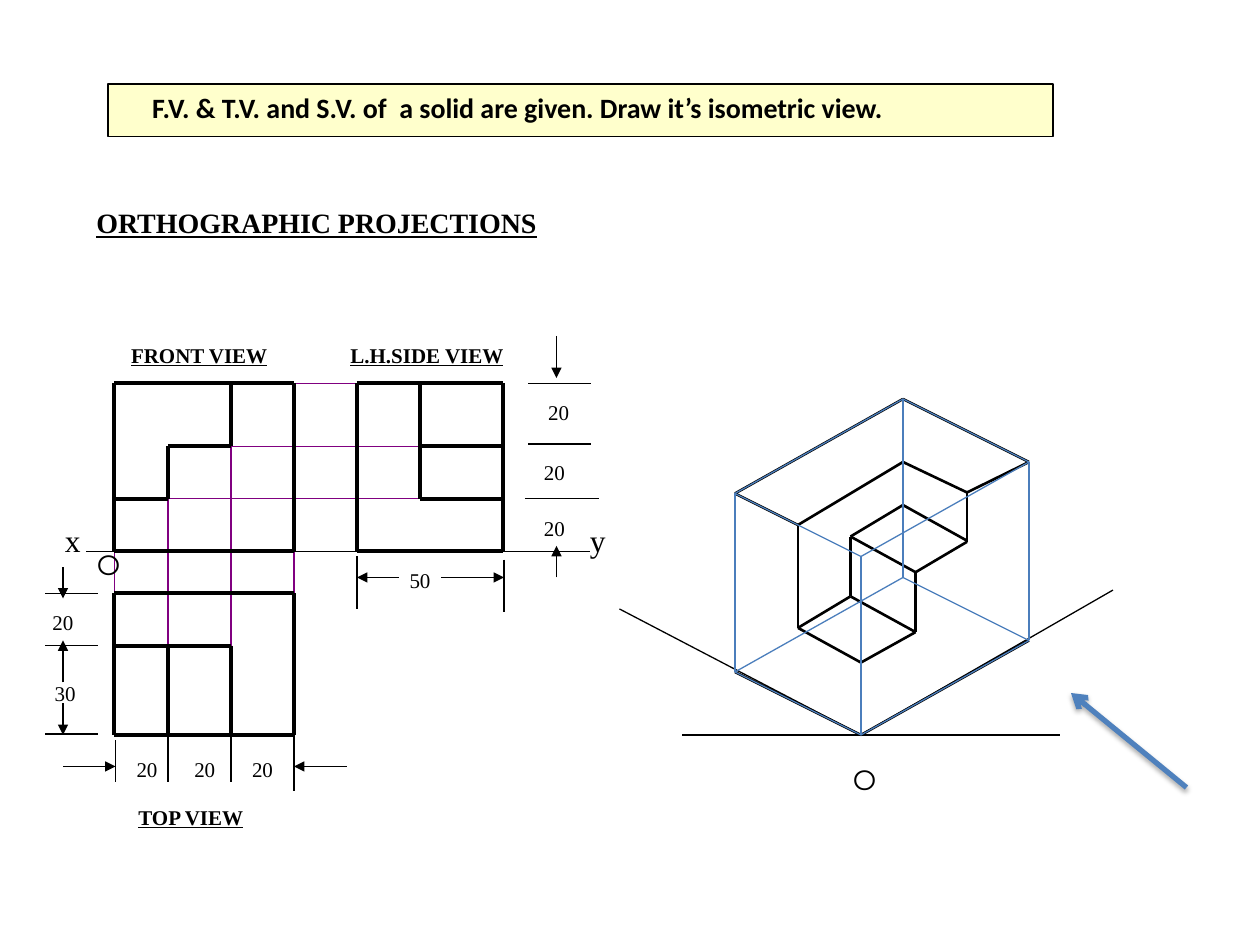
from dataclasses import dataclass
from itertools import pairwise

from lxml.etree import SubElement as sub
from pptx import Presentation
from pptx.dml.color import RGBColor as Rgb
from pptx.enum.shapes import MSO_CONNECTOR as Connector, MSO_SHAPE as Shape
from pptx.enum.text import MSO_AUTO_SIZE as AutoSize, PP_ALIGN as Align
from pptx.oxml.ns import qn
from pptx.util import Inches, Pt

COLUMNS, ROWS = 120, 90  # drawing grid over the whole slide
CELL = Inches(10) // COLUMNS


@dataclass(frozen=True)
class Theme:
    ink: str = "000000"
    projector: str = "800080"
    guide: str = "4B7EBC"
    pointer: str = "4F81BD"
    banner: str = "FFFFCC"
    thin: float = 0.75
    solid: float = 1.5
    thick: float = 2.25
    heavy: float = 3
    serif: str = "Times New Roman"
    sans: str = "Calibri"
    origin: str = "Montserrat"
    small: int = 12
    medium: int = 16
    large: int = 18


THEME = Theme()


def cells(*values):
    return [round(value * CELL) for value in values]


def add_path(page, *points, color=THEME.ink, weight=THEME.thin, head=None, shadow=False):
    """Join successive grid points with straight lines."""
    for start, end in pairwise(points):
        line = page.shapes.add_connector(Connector.STRAIGHT, *cells(*start, *end))
        line.line.color.rgb = Rgb.from_string(color)
        line.line.width = Pt(weight)
        if head:
            sub(line.line._get_or_add_ln(), qn("a:tailEnd"), type=head)
        effects = sub(line._element.spPr, qn("a:effectLst"))
        if shadow:
            cast = sub(effects, qn("a:outerShdw"), blurRad=str(Pt(3.1)), dist=str(Pt(1.8)),
                       dir="5400000", rotWithShape="0")
            shade = sub(cast, qn("a:srgbClr"), val=THEME.ink)
            sub(shade, qn("a:alpha"), val="35000")


def add_frame(page, left, top, right, bottom, **style):
    corners = (left, top), (right, top), (right, bottom), (left, bottom), (left, top)
    add_path(page, *corners, **style)


def add_label(page, text, place, size=THEME.small, font=THEME.serif,
              bold=False, underline=False, align=Align.LEFT):
    box = page.shapes.add_textbox(*cells(*place))
    frame = box.text_frame
    frame.word_wrap = False
    frame.auto_size = AutoSize.SHAPE_TO_FIT_TEXT
    para = frame.paragraphs[0]
    para.text = text
    para.alignment = align
    para.font.name, para.font.size = font, Pt(size)
    para.font.bold, para.font.underline = bold, underline
    para.font.color.rgb = Rgb.from_string(THEME.ink)


def add_heading(page, text, place, size=THEME.small):
    add_label(page, text, place, size, bold=True, underline=True)


def add_banner(page):
    box = page.shapes.add_shape(Shape.RECTANGLE, *cells(10.3, 8, 90, 5))
    box.shadow.inherit = False
    box.fill.solid()
    box.fill.fore_color.rgb = Rgb.from_string(THEME.banner)
    box.line.color.rgb = Rgb.from_string(THEME.ink)
    box.line.width = Pt(THEME.thin)
    add_label(page, "F.V. & T.V. and S.V. of  a solid are given. Draw it’s isometric view.",
              (13.3, 8, 72.8, 4.4), THEME.medium, THEME.sans, bold=True)


def add_solid(page):
    # Ground line and the two receding axes
    corner = 82, 70
    add_path(page, (65, 70), (101, 70))
    add_path(page, (106, 56.2), corner, (59, 58))

    # Visible edges: outer faces, then the stepped notch
    edges = [
        [(82, 63.1), corner, (98, 61), (98, 44), (86, 38), (70, 47), (70, 64), corner],
        [(70, 47), (76, 50), (76, 59.8), (82, 63.1), (87.2, 60.2), (87.2, 54.5),
         (92.1, 51.6), (92.1, 46.9), (98, 44)],
        [(76, 50), (86, 44), (92.1, 46.9)],
        [(86, 44), (86, 48.1), (81, 51.1), (81, 56.8), (76, 59.8)],
        [(86, 48.1), (92.1, 51.5)],
        [(81, 51.1), (87.2, 54.5)],
        [(81, 56.8), (87.2, 60.2)],
    ]
    for edge in edges:
        add_path(page, *edge, weight=THEME.solid)


def add_guide_box(page):
    base = [(70, 64), (82, 70), (98, 61), (86, 55)]
    height = 17
    top = [(x, y - height) for x, y in base]
    for ring in (base, top):
        add_path(page, *ring, ring[0], color=THEME.guide)
    for low, high in zip(base, top):
        add_path(page, low, high, color=THEME.guide)


def add_views(page):
    # Projectors between the views
    projectors = [
        ((20.9, 42.5), (43, 42.5)), ((13.9, 47.5), (43.9, 47.5)), ((25, 36.5), (37, 36.5)),
        ((22, 40.5), (22, 63.5)), ((16, 45.5), (16, 63.5)),
        ((10.9, 51.5), (10.9, 58.5)), ((28, 50.5), (28, 57.5)),
    ]
    for start, end in projectors:
        add_path(page, start, end, color=THEME.projector)

    # Outlines and inner edges of the top, front and side views
    for frame in [(10.9, 56.5, 28, 70), (10.9, 36.5, 28, 52.5), (34, 36.5, 47.9, 52.5)]:
        add_frame(page, *frame, weight=THEME.thick)
    inner_edges = [
        [(10.9, 61.5), (22, 61.5), (22, 70.2)],
        [(16, 61.4), (16, 70.2)],
        [(22, 36.5), (22, 42.5), (16, 42.5), (16, 47.5), (10.9, 47.5)],
        [(40, 36.5), (40, 47.5), (47.9, 47.5)],
        [(40, 42.5), (47.9, 42.5)],
    ]
    for edge in inner_edges:
        add_path(page, *edge, weight=THEME.thick)

    # View names and the reference line
    add_heading(page, "FRONT VIEW", (11.3, 32, 15.5, 3.6))
    add_heading(page, "TOP VIEW", (12, 76, 12.6, 3.6))
    add_heading(page, "L.H.SIDE VIEW", (32.2, 32, 17, 3.6))
    add_path(page, (8.2, 52.5), (56.2, 52.5))
    for name, left in (("x", 5), ("y", 55)):
        add_label(page, name, (left, 49, 4, 4.8), THEME.large)


def add_dimensions(page):
    # Extension lines: (left, right, row), then (column, top, bottom)
    for left, right, row in [(50.3, 56.3, 36.5), (50.3, 56.3, 42.3), (50, 57, 47.5),
                             (4.3, 9.3, 56.5), (4.3, 9.3, 61.5), (4.3, 9.3, 69.9)]:
        add_path(page, (left, row), (right, row))
    for column, top, bottom in [(34, 53, 58), (48, 53.3, 58.3), (11, 70.5, 74.5),
                                (16, 69.5, 74.5), (22, 69.5, 74.5), (28, 68.3, 75.3)]:
        add_path(page, (column, top), (column, bottom))

    # Values
    values = [
        ("20", 51, 37.5), ("20", 50.6, 43.2), ("20", 50.6, 48.5), ("50", 37.8, 53.5),
        ("20", 11.8, 71.5), ("20", 17.3, 71.5), ("20", 22.8, 71.5),
        ("20", 3.8, 57.5), ("30", 4, 64.2),
    ]
    for value, left, top in values:
        add_label(page, value, (left, top, 4.4, 3.6), align=Align.CENTER)

    # Arrows
    arrows = [
        ((38, 55), (34, 55)), ((42, 55), (48, 55)), ((53, 32), (53, 36)), ((53, 55), (53, 52)),
        ((6, 67), (6, 70)), ((6, 65), (6, 61)), ((6, 54), (6, 57)),
        ((6, 73), (11, 73)), ((33, 73), (28, 73)),
    ]
    for start, end in arrows:
        add_path(page, start, end, head="triangle")


def main():
    deck = Presentation()
    deck.slide_width, deck.slide_height = cells(COLUMNS, ROWS)
    page = deck.slides.add_slide(deck.slide_layouts[6])

    add_heading(page, "ORTHOGRAPHIC PROJECTIONS", (8, 19, 44.5, 4.4), THEME.medium)
    add_solid(page)
    add_views(page)
    add_dimensions(page)
    for left, top in ((8, 51.6), (80, 72)):
        add_label(page, "O", (left, top, 4.7, 4.4), THEME.medium, THEME.origin,
                  align=Align.CENTER)
    add_banner(page)
    add_path(page, (113, 75), (102, 66), color=THEME.pointer, weight=THEME.heavy,
             head="arrow", shadow=True)
    add_guide_box(page)
    deck.save("out.pptx")


if __name__ == "__main__":
    main()
